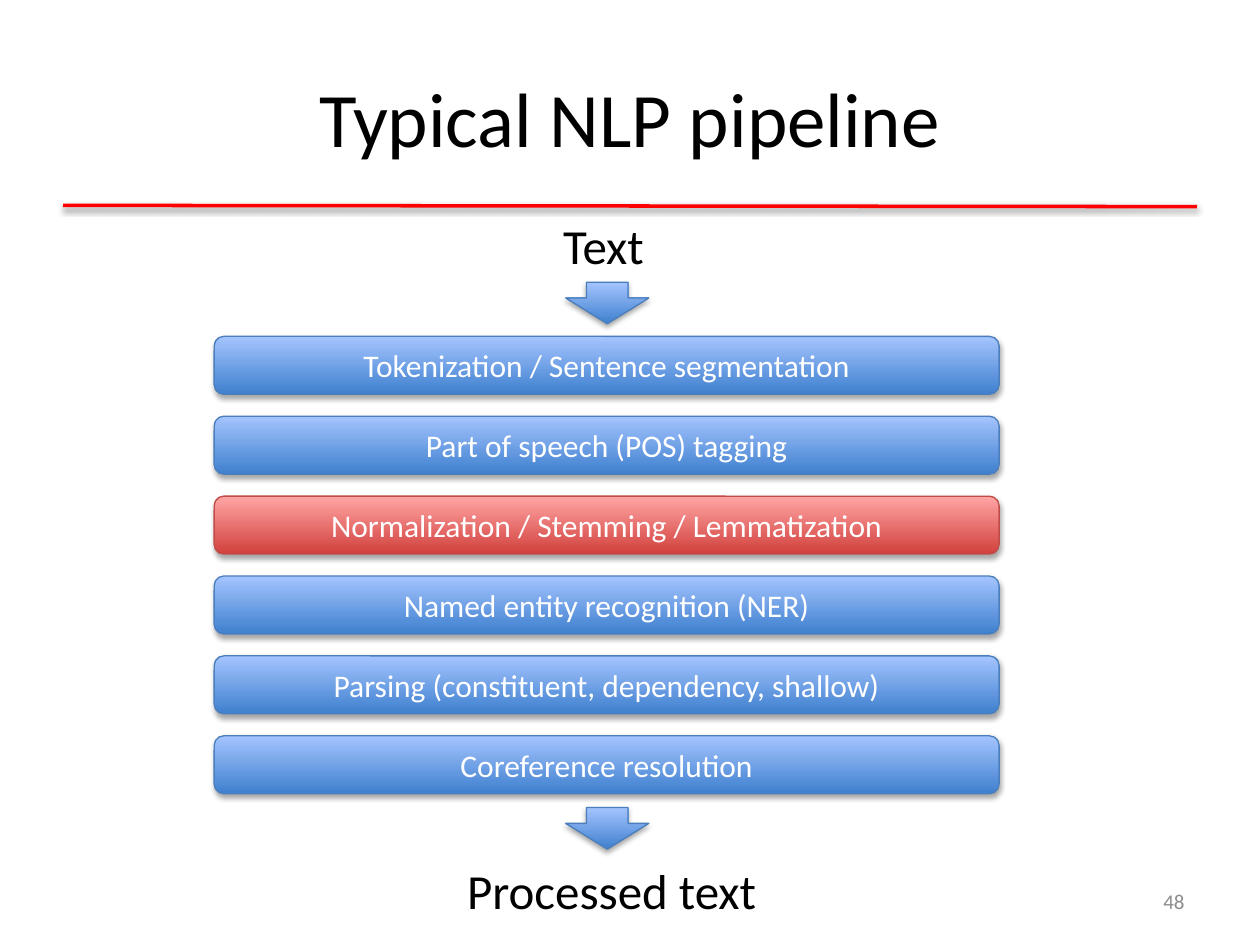
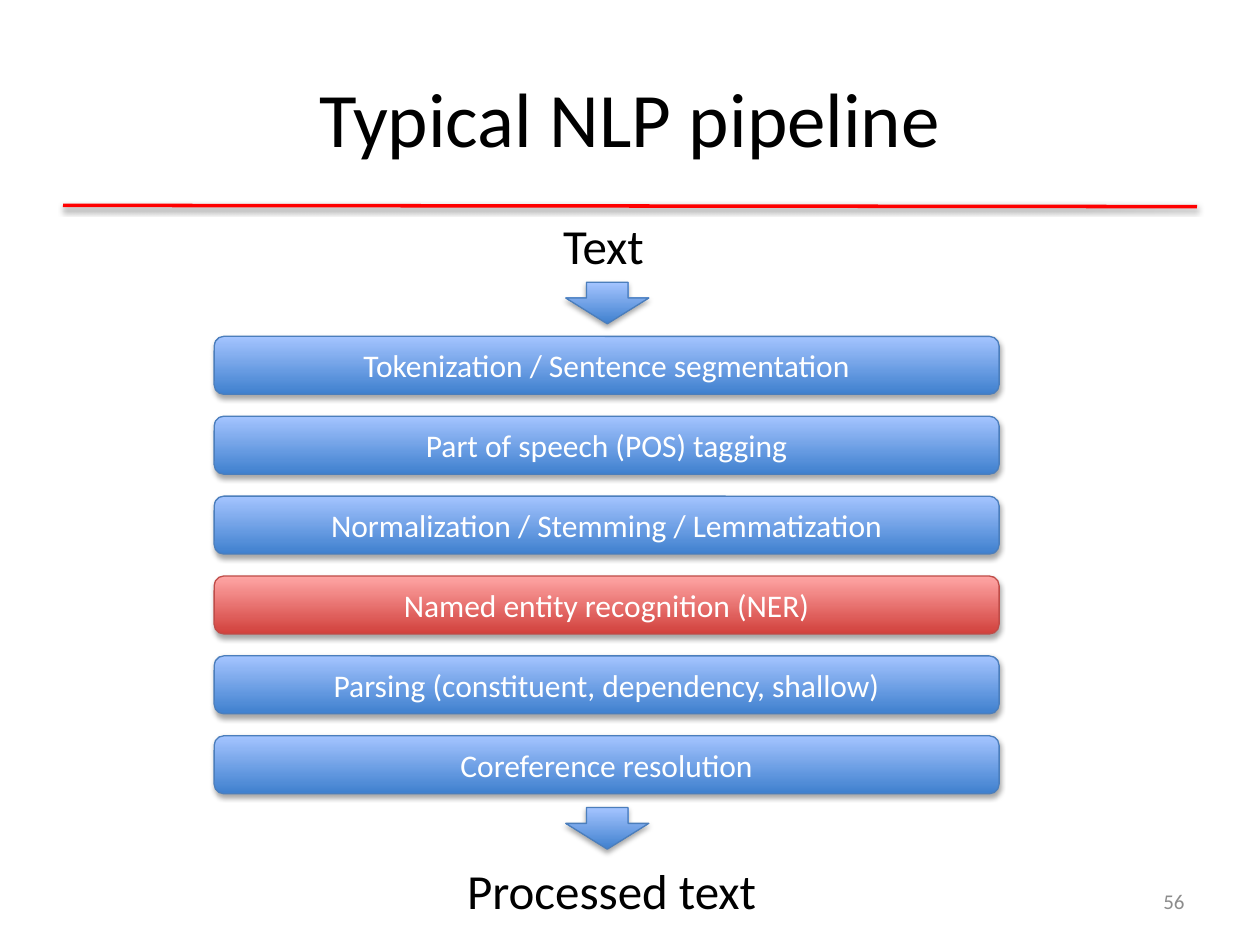
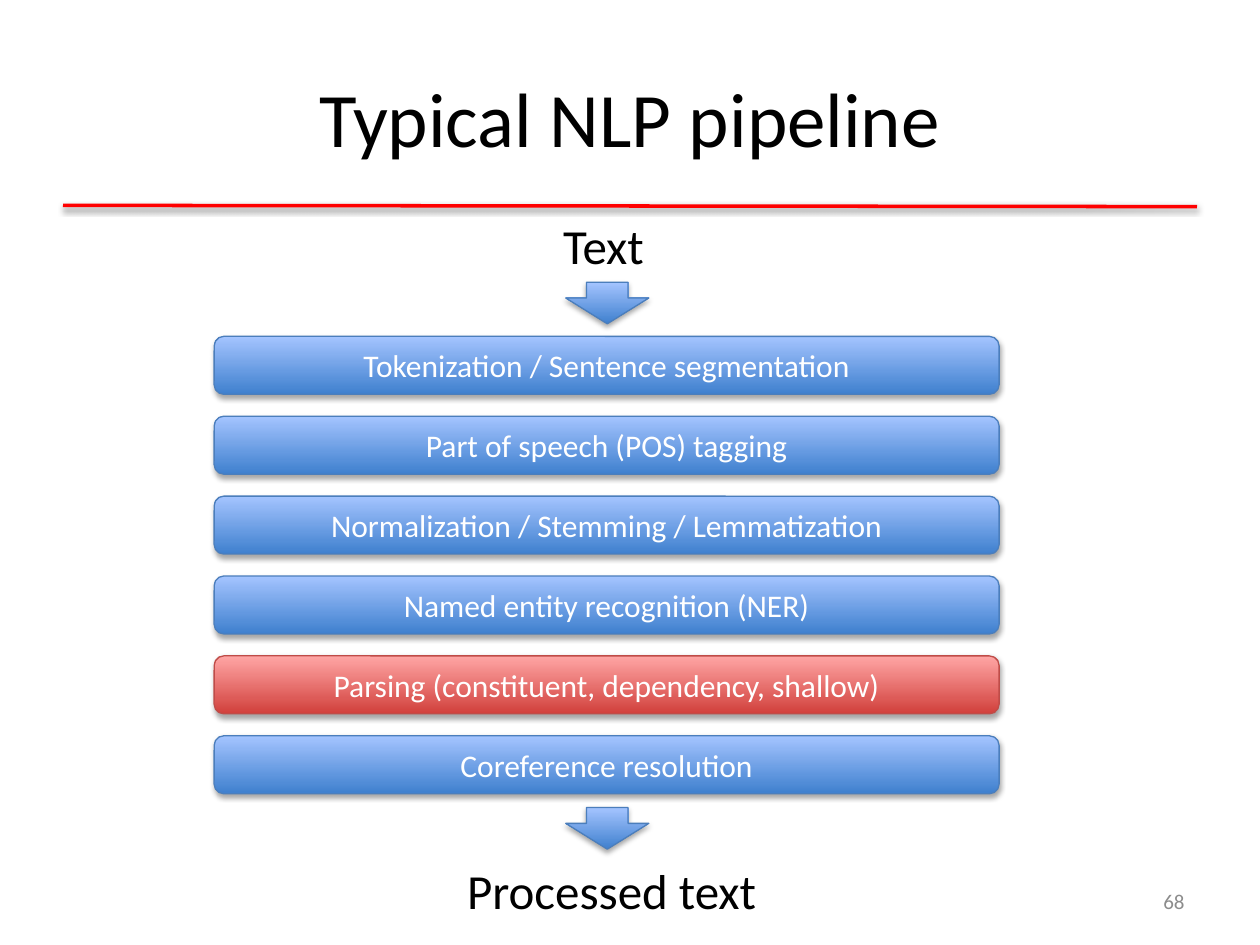
from dataclasses import dataclass
from typing import Any

from lxml.etree import SubElement
from pptx import Presentation
from pptx.dml.color import RGBColor
from pptx.enum.shapes import MSO_CONNECTOR, MSO_SHAPE
from pptx.enum.text import MSO_ANCHOR, MSO_AUTO_SIZE, PP_ALIGN
from pptx.oxml.ns import qn
from pptx.util import Inches, Length, Pt


@dataclass(frozen=True)
class Accent:
    bottom: str
    top: str
    outline: str


@dataclass(frozen=True)
class Shadow:
    opacity: int  # percent
    blur: float  # points
    distance: float  # points


@dataclass(frozen=True)
class Theme:
    font: str = "Calibri"
    ink: str = "000000"
    light: str = "FFFFFF"
    muted: str = "8C8C8C"
    rule: str = "FF0000"
    title_size: int = 44
    label_size: int = 28
    step_size: int = 18
    number_size: int = 12
    rule_width: float = 2
    outline_width: float = 0.75
    normal: Accent = Accent("3F80CE", "A4C4FF", "4B7EBC")
    highlight: Accent = Accent("D1403C", "FFA6A5", "BF4C48")
    rule_shadow: Shadow = Shadow(38, 3.1, 1.6)
    step_shadow: Shadow = Shadow(35, 3.1, 1.8)


@dataclass(frozen=True)
class Area:
    """A rectangle in columns and rows of the slide grid."""
    column: float
    row: float
    columns: float
    rows: float

    def lengths(self) -> tuple[Length, Length, Length, Length]:
        return (across(self.column), down(self.row),
                across(self.columns), down(self.rows))


@dataclass(frozen=True)
class Label:
    text: str
    area: Area


@dataclass(frozen=True)
class PipelinePage:
    number: int
    current_step: str


THEME = Theme()
SLIDE_WIDTH, SLIDE_HEIGHT = Inches(10), Inches(7.5)
GRID_COLUMNS, GRID_ROWS = 100, 75

TITLE = Label("Typical NLP pipeline", Area(5, 3, 90, 12.5))
NUMBER_AREA = Area(71.7, 69.5, 23.3, 4)
ENDS = [
    Label("Text", Area(43.7, 16.6, 8.9, 5.7)),
    Label("Processed text", Area(36.1, 67.8, 25.4, 5.7)),
]
ARROWS = [Area(44.9, row, 6.6, 3.3) for row in (22.4, 64.1)]
STEPS = [
    "Tokenization / Sentence segmentation",
    "Part of speech (POS) tagging",
    "Normalization / Stemming / Lemmatization",
    "Named entity recognition (NER)",
    "Parsing (constituent, dependency, shallow)",
    "Coreference resolution",
]
FIRST_STEP_ROW, STEP_PITCH = 26.7, 6.34
PAGES = [
    PipelinePage(48, STEPS[2]),
    PipelinePage(56, STEPS[3]),
    PipelinePage(68, STEPS[4]),
]


def across(columns: float) -> Length:
    return Length(round(SLIDE_WIDTH * columns / GRID_COLUMNS))


def down(rows: float) -> Length:
    return Length(round(SLIDE_HEIGHT * rows / GRID_ROWS))


def apply(target: Any, formats: dict[str, Any]) -> None:
    for name, value in formats.items():
        setattr(target, name, value)


def write(shape: Any, text: str, size: float, color: str,
          align: PP_ALIGN, frame_formats: dict[str, Any]) -> None:
    frame = shape.text_frame
    apply(frame, frame_formats)
    para = frame.paragraphs[0]
    para.alignment = align
    span = para.add_run()
    span.text = text
    apply(span.font, {"name": THEME.font, "size": Pt(size)})
    span.font.color.rgb = RGBColor.from_string(color)


def draw_line(line: Any, color: str, width: float) -> None:
    line.color.rgb = RGBColor.from_string(color)
    line.width = Pt(width)


def cast_shadow(shape: Any, shadow: Shadow) -> None:
    """Add a downward shadow; call after fill and line are set."""
    effects = SubElement(shape._element.spPr, qn("a:effectLst"))
    outer = SubElement(effects, qn("a:outerShdw"), {
        "blurRad": str(Pt(shadow.blur)), "dist": str(Pt(shadow.distance)),
        "dir": "5400000", "rotWithShape": "0"})
    color = SubElement(outer, qn("a:srgbClr"), val=THEME.ink)
    SubElement(color, qn("a:alpha"), val=str(shadow.opacity * 1000))


def add_glossy_shape(page: Any, kind: MSO_SHAPE, area: Area, accent: Accent) -> Any:
    shape = page.shapes.add_shape(kind, *area.lengths())
    shape.fill.gradient()
    shape.fill.gradient_angle = 90
    stops = zip(shape.fill.gradient_stops, (accent.bottom, accent.top), (0, 1))
    for stop, color, position in stops:
        stop.color.rgb = RGBColor.from_string(color)
        stop.position = position
    draw_line(shape.line, accent.outline, THEME.outline_width)
    cast_shadow(shape, THEME.step_shadow)
    return shape


def add_title(page: Any) -> None:
    title = page.shapes.title
    names = ("left", "top", "width", "height")
    apply(title, dict(zip(names, TITLE.area.lengths())))
    write(title, TITLE.text, THEME.title_size, THEME.ink, PP_ALIGN.CENTER,
          {"vertical_anchor": MSO_ANCHOR.MIDDLE})


def add_step(page: Any, index: int, text: str, accent: Accent) -> None:
    area = Area(17, FIRST_STEP_ROW + index * STEP_PITCH, 62.3, 4.6)
    step = add_glossy_shape(page, MSO_SHAPE.ROUNDED_RECTANGLE, area, accent)
    write(step, text, THEME.step_size, THEME.light, PP_ALIGN.CENTER,
          {"vertical_anchor": MSO_ANCHOR.MIDDLE, "word_wrap": True})


def add_arrow(page: Any, area: Area) -> None:
    arrow = add_glossy_shape(page, MSO_SHAPE.DOWN_ARROW, area, THEME.normal)
    arrow.adjustments[0], arrow.adjustments[1] = 0.5, 0.62


def add_end(page: Any, label: Label) -> None:
    box = page.shapes.add_textbox(*label.area.lengths())
    write(box, label.text, THEME.label_size, THEME.ink, PP_ALIGN.LEFT,
          {"word_wrap": False, "auto_size": MSO_AUTO_SIZE.SHAPE_TO_FIT_TEXT})


def add_number(page: Any, number: int) -> None:
    box = page.shapes.add_textbox(*NUMBER_AREA.lengths())
    write(box, str(number), THEME.number_size, THEME.muted, PP_ALIGN.RIGHT,
          {"word_wrap": True, "vertical_anchor": MSO_ANCHOR.MIDDLE})


def move_rule_to_master(deck: Any, page: Any) -> None:
    """Draw the title rule and hand it to the master, for all slides."""
    rule = page.shapes.add_connector(
        MSO_CONNECTOR.STRAIGHT, across(5), down(16.3), across(95), down(16.4))
    draw_line(rule.line, THEME.rule, THEME.rule_width)
    cast_shadow(rule, THEME.rule_shadow)
    deck.slide_master.shapes._spTree.append(rule._element)


def add_pipeline_page(deck: Any, content: PipelinePage) -> Any:
    page = deck.slides.add_slide(deck.slide_layouts.get_by_name("Title Only"))
    add_title(page)
    # Pipeline from raw to processed text
    for label in ENDS:
        add_end(page, label)
    for index, text in enumerate(STEPS):
        current = text == content.current_step
        add_step(page, index, text, THEME.highlight if current else THEME.normal)
    for area in ARROWS:
        add_arrow(page, area)
    # Footer
    add_number(page, content.number)
    return page


def main() -> None:
    deck = Presentation()
    apply(deck, {"slide_width": SLIDE_WIDTH, "slide_height": SLIDE_HEIGHT})
    pages = [add_pipeline_page(deck, content) for content in PAGES]
    move_rule_to_master(deck, pages[0])
    deck.save("out.pptx")


if __name__ == "__main__":
    main()
